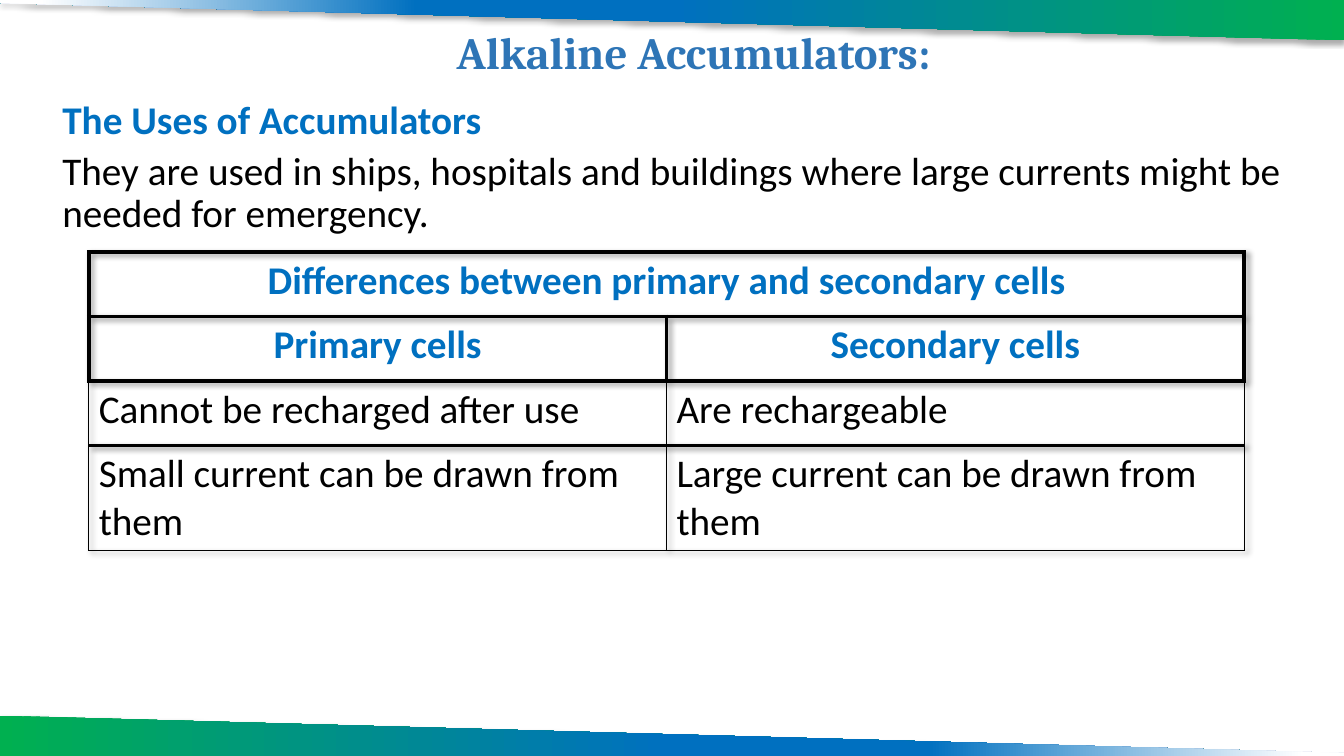
from lxml import etree
from pptx import Presentation
from pptx.dml.color import RGBColor
from pptx.enum.text import MSO_ANCHOR, PP_ALIGN
from pptx.oxml.ns import qn
from pptx.util import Inches, Pt

CENTER, LEFT = PP_ALIGN.CENTER, PP_ALIGN.LEFT
MIDDLE, TOP = MSO_ANCHOR.MIDDLE, MSO_ANCHOR.TOP
SLIDE_WIDTH, SLIDE_HEIGHT = 13.33, 7.5

BLUE, BLACK = "0070C0", "000000"
HEADING = {"name": "Calibri", "size": Pt(28), "bold": True, "color": BLUE}
BODY = {**HEADING, "bold": False, "color": BLACK}
TITLE = {"name": "Cambria", "size": Pt(32), "bold": True, "color": "2E75B6"}

TEXT_BOXES = [
    ((1.29, 0.14, 11.18, 0.81), MIDDLE, CENTER, 0,
     [("Alkaline Accumulators:", TITLE)]),
    ((0.52, 0.95, 12.65, 6.25), TOP, LEFT, 6,
     [("The Uses of Accumulators", HEADING),
      ("They are used in ships, hospitals and buildings where large currents "
       "might be needed for emergency.", BODY)]),
]
TABLE_ROWS = [
    ["Differences between primary and secondary cells", ""],
    ["Primary cells", "Secondary cells"],
    ["Cannot be recharged after use", "Are rechargeable"],
    ["Small current can be drawn from them", "Large current can be drawn from them"],
]
HEADING_ROWS = 2
ROW_HEIGHTS = [0.64, 0.64, 0.64, 1.04]
TABLE_AREA = (0.88, 2.5, 11.46, sum(ROW_HEIGHTS))
THICK, THIN = 3, 1

BAND_STOPS = [(0, "00B050"), (50, BLUE), (69, BLUE), (97, "FFFFFF")]
BANDS = [
    ([(0, 0), (SLIDE_WIDTH, 0), (SLIDE_WIDTH, 0.4), (0, 0.03)], 180),
    ([(SLIDE_WIDTH, SLIDE_HEIGHT), (0, SLIDE_HEIGHT), (0, 7.1), (SLIDE_WIDTH, 7.47)], 0),
]


def color(value):
    return RGBColor.from_string(value)


def add_element(parent, tag, **attributes):
    values = {key: str(value) for key, value in attributes.items()}
    return etree.SubElement(parent, qn(tag), values)


def add_shadow(parent, blur, distance, angle, opacity):
    effects = add_element(parent, "a:effectLst")
    shadow = add_element(effects, "a:outerShdw", blurRad=Pt(blur), dist=Pt(distance),
                         dir=angle * 60000, algn="t", rotWithShape=0)
    shade = add_element(shadow, "a:srgbClr", val=BLACK)
    add_element(shade, "a:alpha", val=opacity * 1000)
    return effects


def write_paragraph(paragraph, text, style, alignment):
    paragraph.alignment = alignment
    run = paragraph.add_run()
    run.text = text
    for key, value in style.items():
        if key == "color":
            run.font.color.rgb = color(value)
        else:
            setattr(run.font, key, value)


def add_band(slide, points, angle):
    corners = [(Inches(x), Inches(y)) for x, y in points]
    builder = slide.shapes.build_freeform(*corners[0])
    builder.add_line_segments(corners[1:], close=True)
    shape = builder.convert_to_shape()
    shape.line.fill.background()
    shape.fill.gradient()
    gradient = shape.fill._xPr.find(qn("a:gradFill"))
    stops = gradient.find(qn("a:gsLst"))
    for stop in list(stops):
        stops.remove(stop)
    for position, value in BAND_STOPS:
        stop = add_element(stops, "a:gs", pos=position * 1000)
        add_element(stop, "a:srgbClr", val=value)
    gradient.find(qn("a:lin")).set("ang", str(angle * 60000))
    add_shadow(shape.fill._xPr, 3.5, 2.2, 90, 32)


def add_text_box(slide, area, anchor, alignment, space_after, lines):
    frame = slide.shapes.add_textbox(*map(Inches, area)).text_frame
    frame.word_wrap = True
    frame.vertical_anchor = anchor
    for index, (text, style) in enumerate(lines):
        paragraph = frame.add_paragraph() if index else frame.paragraphs[0]
        paragraph.line_spacing = 0.9
        paragraph.space_after = Pt(space_after)
        write_paragraph(paragraph, text, style, alignment)


def set_borders(cell, widths):
    properties = cell._tc.get_or_add_tcPr()
    for side, width in zip("LRTB", widths):
        border = add_element(properties, "a:ln" + side, w=Pt(width))
        fill = add_element(border, "a:solidFill")
        add_element(fill, "a:srgbClr", val=BLACK)
    cell.fill.background()


def add_comparison_table(slide):
    row_count, column_count = len(TABLE_ROWS), len(TABLE_ROWS[0])
    frame = slide.shapes.add_table(row_count, column_count, *map(Inches, TABLE_AREA))
    table = frame.table
    table.first_row = table.horz_banding = False
    table_properties = table._tbl.tblPr
    table_properties.insert(0, add_shadow(table_properties, 4, 3, 45, 40))
    for row, height in zip(table.rows, ROW_HEIGHTS):
        row.height = Inches(height)
    for column in table.columns:
        column.width = Inches(TABLE_AREA[2] / column_count)
    table.cell(0, 0).merge(table.cell(0, column_count - 1))
    for row_index, texts in enumerate(TABLE_ROWS):
        is_heading = row_index < HEADING_ROWS
        style, alignment = (HEADING, CENTER) if is_heading else (BODY, LEFT)
        side = THICK if is_heading else THIN
        bottom = THIN if row_index == row_count - 1 else THICK
        for column_index, text in enumerate(texts):
            cell = table.cell(row_index, column_index)
            set_borders(cell, (side, side, THICK, bottom))
            if text:
                write_paragraph(cell.text_frame.paragraphs[0], text, style, alignment)


def main():
    presentation = Presentation()
    presentation.slide_width = Inches(SLIDE_WIDTH)
    presentation.slide_height = Inches(SLIDE_HEIGHT)
    slide = presentation.slides.add_slide(presentation.slide_layouts[6])
    for points, angle in BANDS:
        add_band(slide, points, angle)
    for text_box in TEXT_BOXES:
        add_text_box(slide, *text_box)
    add_comparison_table(slide)
    presentation.save("out.pptx")


if __name__ == "__main__":
    main()
